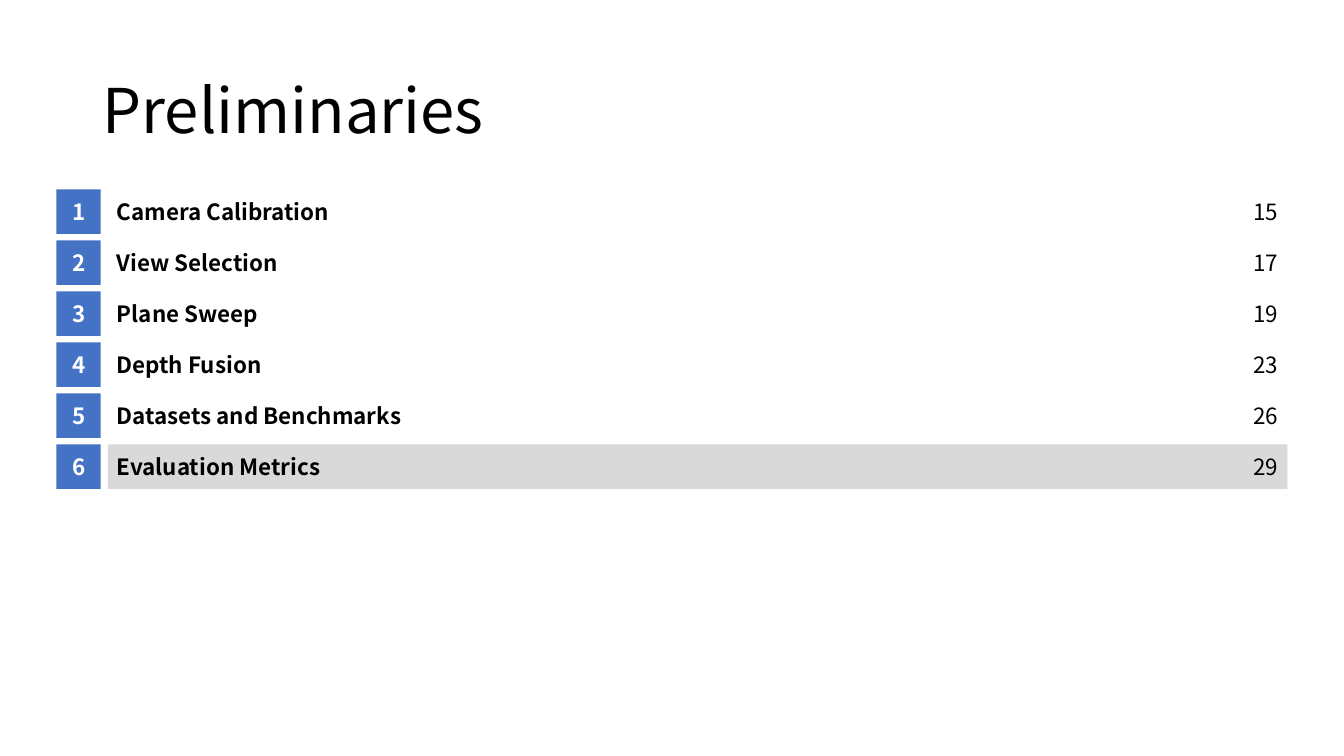
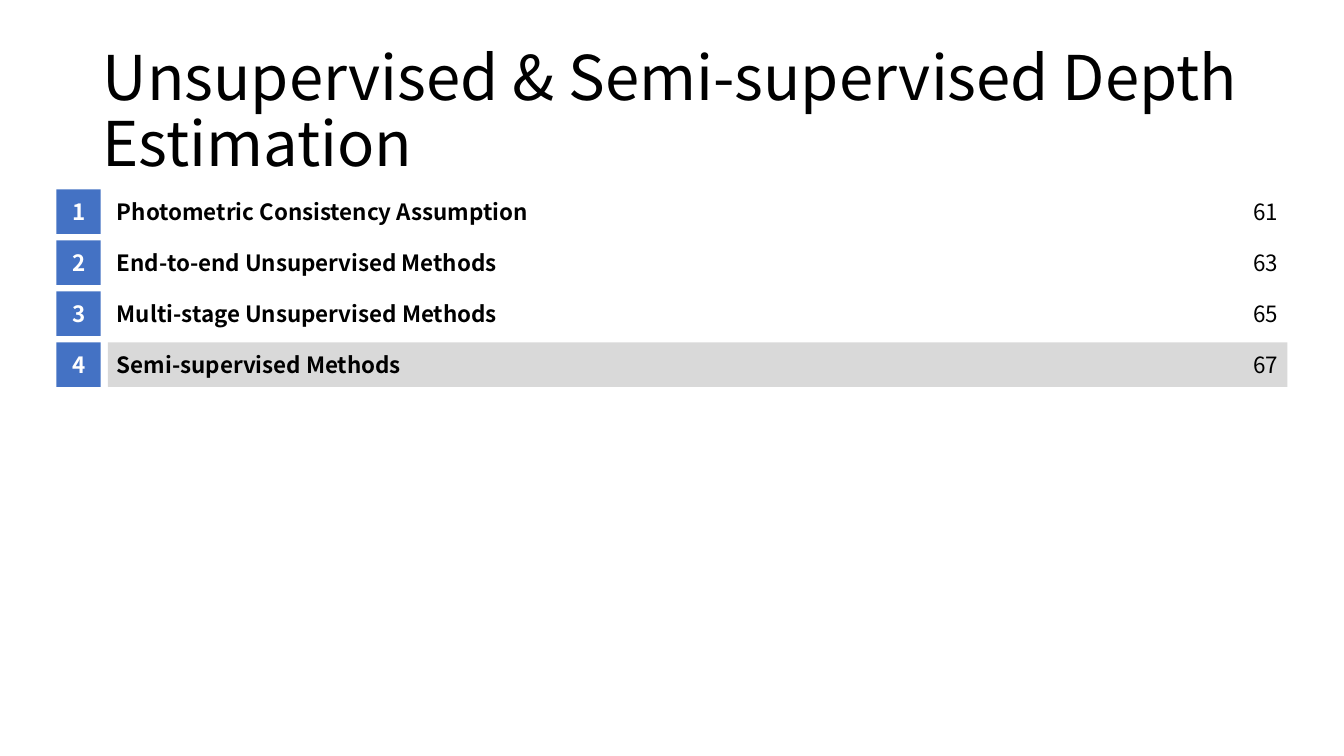
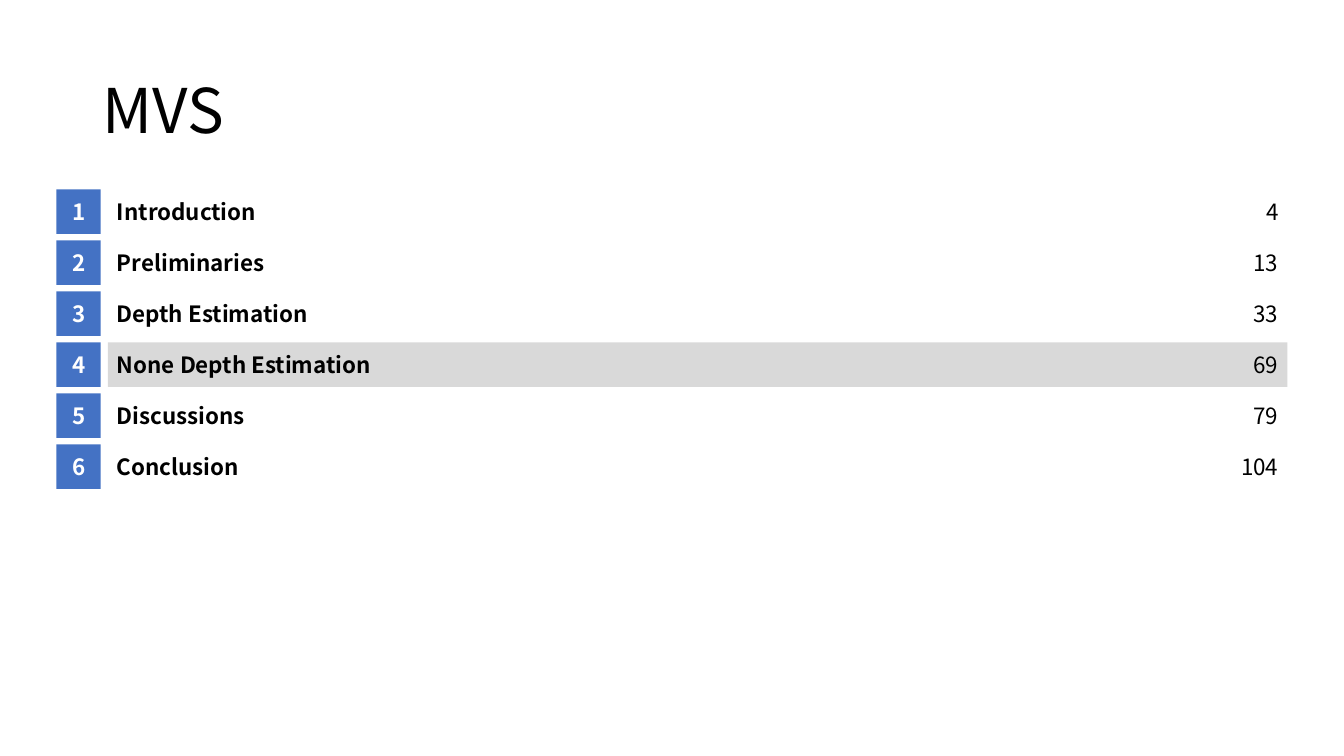
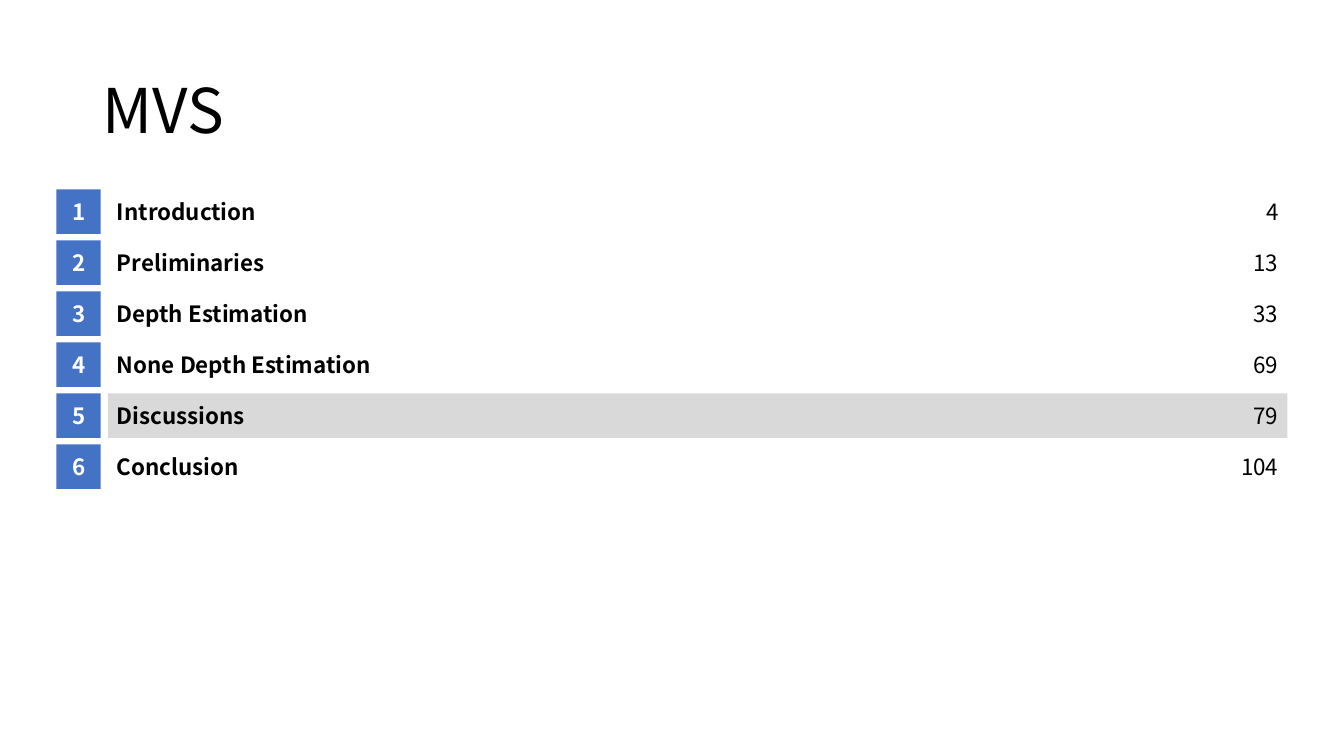
from dataclasses import dataclass

from pptx import Presentation
from pptx.dml.color import RGBColor
from pptx.enum.shapes import MSO_SHAPE
from pptx.enum.text import MSO_ANCHOR, PP_ALIGN
from pptx.shapes.autoshape import Shape
from pptx.slide import Slide
from pptx.util import Inches, Pt

RECTANGLE = MSO_SHAPE.RECTANGLE
MIDDLE = MSO_ANCHOR.MIDDLE
LEFT, CENTER, RIGHT = PP_ALIGN.LEFT, PP_ALIGN.CENTER, PP_ALIGN.RIGHT

COLOURS = {
    "text": "000000",
    "badge": "4472C4",
    "badge_text": "FFFFFF",
    "highlight": "D9D9D9",
}
FONT = "Noto Sans CJK SC"
TITLE_SIZE = 44
ENTRY_SIZE = 16

FIRST_ROW_TOP = 1.88
SIXTH_ROW_TOP = 4.41
ROW_PITCH = (SIXTH_ROW_TOP - FIRST_ROW_TOP) / 5
ROW_HEIGHT = 0.44
BADGE_LEFT = 0.56
LABEL_LEFT = 1.07
LABEL_WIDTH = 4.5
LABEL_PADDING = 0.09
BAND_WIDTH = 11.7
NUMBER_WIDTH = 0.5
NUMBER_LEFT = 12.68 - NUMBER_WIDTH


@dataclass(frozen=True)
class Area:
    """A rectangle on the page, in inches."""
    left: float
    top: float
    width: float
    height: float

    def lengths(self) -> tuple[Inches, ...]:
        return tuple(map(Inches, (self.left, self.top, self.width, self.height)))


@dataclass(frozen=True)
class Entry:
    label: str
    page_number: int


@dataclass(frozen=True)
class Agenda:
    title: str
    entries: tuple[Entry, ...]
    current: int


TITLE_AREA = Area(0.92, 0.4, 11.5, 1.45)

MVS_ENTRIES = (
    Entry("Introduction", 4),
    Entry("Preliminaries", 13),
    Entry("Depth Estimation", 33),
    Entry("None Depth Estimation", 69),
    Entry("Discussions", 79),
    Entry("Conclusion", 104),
)

AGENDAS = (
    Agenda("Preliminaries", (
        Entry("Camera Calibration", 15),
        Entry("View Selection", 17),
        Entry("Plane Sweep", 19),
        Entry("Depth Fusion", 23),
        Entry("Datasets and Benchmarks", 26),
        Entry("Evaluation Metrics", 29),
    ), current=6),
    Agenda("Unsupervised & Semi-supervised Depth Estimation", (
        Entry("Photometric Consistency Assumption", 61),
        Entry("End-to-end Unsupervised Methods", 63),
        Entry("Multi-stage Unsupervised Methods", 65),
        Entry("Semi-supervised Methods", 67),
    ), current=4),
    Agenda("MVS", MVS_ENTRIES, current=4),
    Agenda("MVS", MVS_ENTRIES, current=5),
)


def add_rectangle(page: Slide, area: Area, colour: str) -> Shape:
    rectangle = page.shapes.add_shape(RECTANGLE, *area.lengths())
    rectangle.shadow.inherit = False
    rectangle.fill.solid()
    rectangle.fill.fore_color.rgb = RGBColor.from_string(COLOURS[colour])
    rectangle.line.fill.background()
    return rectangle


def set_paragraph(box: Shape, text: str, size: int, colour: str = "text",
                  bold: bool = False, align: PP_ALIGN = LEFT) -> None:
    box.text_frame.vertical_anchor = MIDDLE
    paragraph = box.text_frame.paragraphs[0]
    paragraph.text = text
    paragraph.alignment = align
    paragraph.font.name = FONT
    paragraph.font.size = Pt(size)
    paragraph.font.bold = bold
    paragraph.font.color.rgb = RGBColor.from_string(COLOURS[colour])


def write_entry_text(box: Shape, text: str, *, colour: str = "text", bold: bool = False,
                     align: PP_ALIGN = LEFT, padding_left: float = 0) -> None:
    """Fill a box of an agenda row with one unwrapped line."""
    frame = box.text_frame
    frame.word_wrap = False
    frame.margin_top = frame.margin_bottom = frame.margin_right = Inches(0)
    frame.margin_left = Inches(padding_left)
    set_paragraph(box, text, ENTRY_SIZE, colour, bold, align)


def add_title(page: Slide, title: str) -> None:
    box = page.shapes.add_textbox(*TITLE_AREA.lengths())
    box.text_frame.word_wrap = True
    set_paragraph(box, title, TITLE_SIZE)
    box.text_frame.paragraphs[0].line_spacing = 0.9


def add_row(page: Slide, number: int, entry: Entry, is_current: bool) -> None:
    top = FIRST_ROW_TOP + (number - 1) * ROW_PITCH
    if is_current:
        add_rectangle(page, Area(LABEL_LEFT, top, BAND_WIDTH, ROW_HEIGHT), "highlight")

    badge = add_rectangle(page, Area(BADGE_LEFT, top, ROW_HEIGHT, ROW_HEIGHT), "badge")
    write_entry_text(badge, str(number), colour="badge_text", bold=True, align=CENTER)

    label_area = Area(LABEL_LEFT, top, LABEL_WIDTH, ROW_HEIGHT)
    label = page.shapes.add_textbox(*label_area.lengths())
    write_entry_text(label, entry.label, bold=True, padding_left=LABEL_PADDING)

    number_area = Area(NUMBER_LEFT, top, NUMBER_WIDTH, ROW_HEIGHT)
    page_number = page.shapes.add_textbox(*number_area.lengths())
    write_entry_text(page_number, str(entry.page_number), align=RIGHT)


def main() -> None:
    deck = Presentation()
    deck.slide_width, deck.slide_height = Inches(13.33), Inches(7.5)
    blank_layout = deck.slide_layouts[6]
    for agenda in AGENDAS:
        page = deck.slides.add_slide(blank_layout)
        add_title(page, agenda.title)
        for number, entry in enumerate(agenda.entries, start=1):
            add_row(page, number, entry, number == agenda.current)
    deck.save("out.pptx")


if __name__ == "__main__":
    main()
